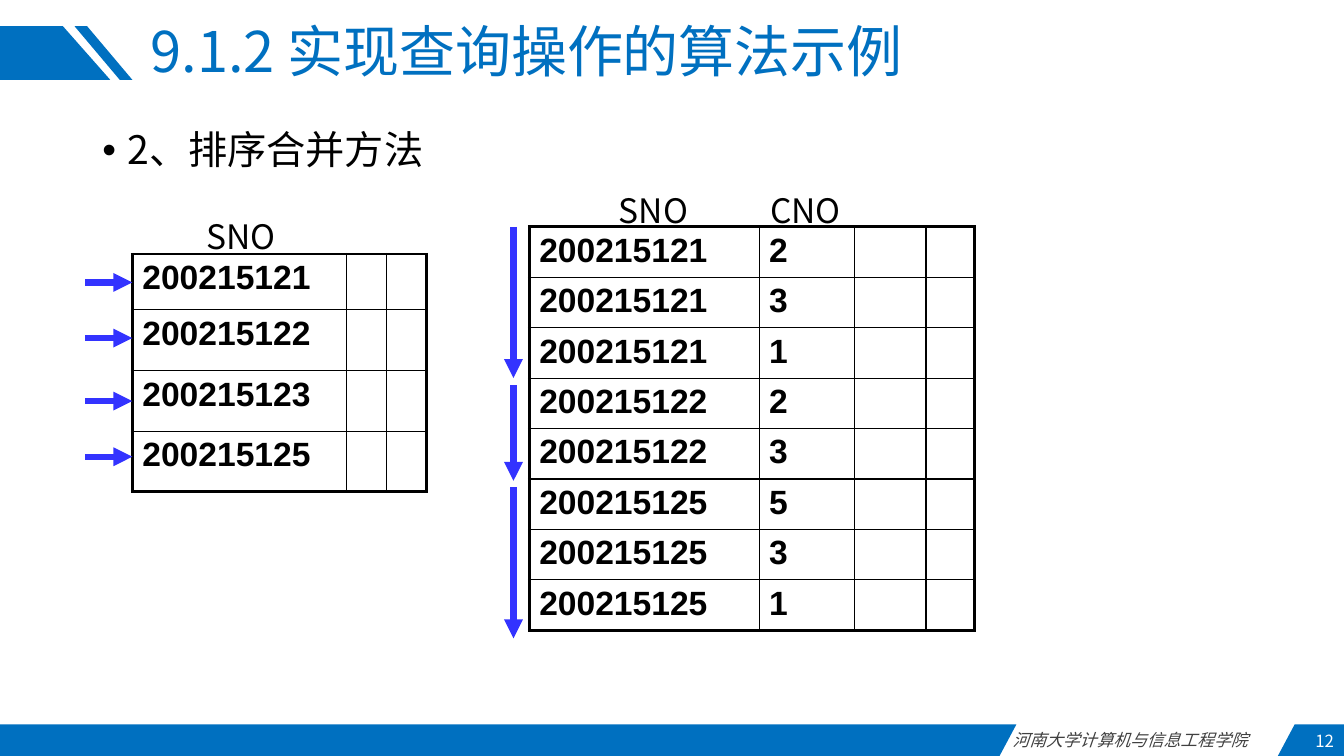
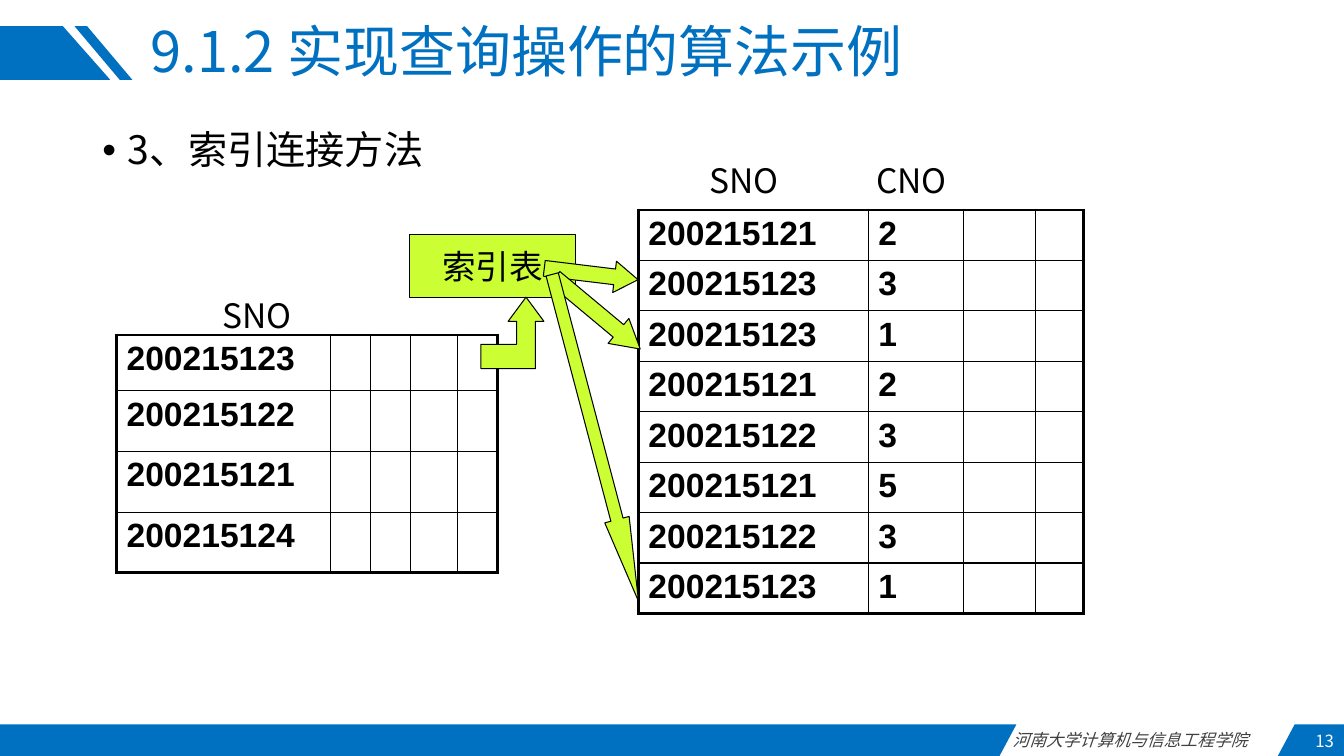
from lxml import etree
from pptx import Presentation
from pptx.dml.color import RGBColor
from pptx.enum.shapes import MSO_CONNECTOR, MSO_SHAPE
from pptx.enum.text import MSO_ANCHOR, MSO_AUTO_SIZE, PP_ALIGN
from pptx.oxml.ns import qn
from pptx.util import Pt

PX = 9525  # EMU per px, 96 px to the inch
BLUE = RGBColor(0x00, 0x70, 0xC0)
ARROW_BLUE = RGBColor(0x33, 0x33, 0xFF)
LIME = RGBColor(0xCC, 0xFF, 0x33)
BLACK = RGBColor(0x00, 0x00, 0x00)
GREY = RGBColor(0x40, 0x40, 0x40)
WHITE = RGBColor(0xFF, 0xFF, 0xFF)
CJK_FONT = "Noto Sans CJK SC"
TOP, MIDDLE = MSO_ANCHOR.TOP, MSO_ANCHOR.MIDDLE
LEFT, CENTER, RIGHT, JUSTIFY = PP_ALIGN.LEFT, PP_ALIGN.CENTER, PP_ALIGN.RIGHT, PP_ALIGN.JUSTIFY
FIT_SHAPE = MSO_AUTO_SIZE.SHAPE_TO_FIT_TEXT
STRAIGHT = MSO_CONNECTOR.STRAIGHT
RECTANGLE, RIGHT_ARROW = MSO_SHAPE.RECTANGLE, MSO_SHAPE.RIGHT_ARROW

TITLE = "9.1.2 实现查询操作的算法示例"
SCHOOL = "河南大学计算机与信息工程学院"
BLUE_BANDS = [
    [(0, 25), (60, 25), (105, 76), (0, 76)],
    [(83, 25), (126, 76), (114, 76), (71, 25)],
    [(0, 690), (968, 690), (952, 720), (0, 720)],
    [(1233, 690), (1280, 690), (1280, 720), (1217, 720)],
]
STUDENT_ROWS = [53, 58, 58, 57]
COURSE_COLS = [219, 91, 68, 46]
COURSE_ROWS = [45] * 8

# Each table: left, top, column widths, row heights, rows of text
SLIDES = [
    {
        "number": "12",
        "heading": "2、排序合并方法",
        "tables": [
            (126, 242, [204, 38, 38], STUDENT_ROWS,
             [["200215121"], ["200215122"], ["200215123"], ["200215125"]]),
            (504, 216, COURSE_COLS, COURSE_ROWS,
             [["200215121", "2"], ["200215121", "3"], ["200215121", "1"],
              ["200215122", "2"], ["200215122", "3"], ["200215125", "5"],
              ["200215125", "3"], ["200215125", "1"]]),
        ],
        "labels": [("SNO", 187, 201), ("SNO", 580, 176), ("CNO", 724, 176)],
    },
    {
        "number": "13",
        "heading": "3、索引连接方法",
        "tables": [
            (111, 319, [204, 38, 38, 45, 38], STUDENT_ROWS,
             [["200215123"], ["200215122"], ["200215121"], ["200215124"]]),
            (608, 200, COURSE_COLS, COURSE_ROWS,
             [["200215121", "2"], ["200215123", "3"], ["200215123", "1"],
              ["200215121", "2"], ["200215122", "3"], ["200215121", "5"],
              ["200215122", "3"], ["200215123", "1"]]),
        ],
        "labels": [("SNO", 202, 276), ("SNO", 666, 148), ("CNO", 825, 148)],
    },
]


def write(shape, text, size, color, font=CJK_FONT, align=LEFT, anchor=TOP, wrap=True):
    frame = shape.text_frame
    frame.word_wrap = wrap
    frame.vertical_anchor = anchor
    paragraph = frame.paragraphs[0]
    paragraph.text = text
    paragraph.alignment = align
    paragraph.font.size = Pt(size)
    paragraph.font.color.rgb = color
    paragraph.font.name = font
    defaults = paragraph._p.pPr.find(qn("a:defRPr"))
    etree.SubElement(defaults, qn("a:ea"), typeface=font)
    return paragraph


def polygon(slide, points, color):
    builder = slide.shapes.build_freeform(*points[0], scale=PX)
    builder.add_line_segments(points[1:], close=True)
    shape = builder.convert_to_shape()
    shape.shadow.inherit = False
    shape.fill.solid()
    shape.fill.fore_color.rgb = color
    shape.line.fill.background()
    return shape


prs = Presentation()
prs.slide_width, prs.slide_height = 1280 * PX, 720 * PX

for content in SLIDES:
    slide = prs.slides.add_slide(prs.slide_layouts[6])
    shapes = slide.shapes

    # Bands, footer, title and page number
    for points in BLUE_BANDS:
        polygon(slide, points, BLUE)
    school = shapes.add_textbox(955 * PX, 690 * PX, 262 * PX, 29 * PX)
    write(school, SCHOOL, 12, GREY, align=JUSTIFY).font.italic = True
    school.text_frame.auto_size = FIT_SHAPE
    title = shapes.add_textbox(134 * PX, 25 * PX, 1003 * PX, 54 * PX)
    write(title, TITLE, 40, BLUE, anchor=MIDDLE).line_spacing = 0.9
    number = shapes.add_textbox(1146 * PX, 691 * PX, 134 * PX, 29 * PX)
    write(number, content["number"], 12, WHITE, align=RIGHT, anchor=MIDDLE)

    # Bulleted heading
    body = shapes.add_textbox(88 * PX, 120 * PX, 1104 * PX, 549 * PX)
    properties = body.text_frame.paragraphs[0]._p.get_or_add_pPr()
    properties.set("marL", str(24 * PX))
    properties.set("indent", str(-24 * PX))
    etree.SubElement(properties, qn("a:buFont"), typeface="Arial")
    etree.SubElement(properties, qn("a:buChar"), char="•")
    write(body, content["heading"], 28, BLACK).line_spacing = 0.9

    # Tables with thick outer and thin inner borders
    for left, top, widths, heights, rows in content["tables"]:
        table = shapes.add_table(len(heights), len(widths), left * PX, top * PX,
                                 sum(widths) * PX, sum(heights) * PX).table
        table.first_row = table.horz_banding = False
        for column, width in zip(table.columns, widths):
            column.width = width * PX
        for row, height in zip(table.rows, heights):
            row.height = height * PX
        last_row, last_col = len(heights) - 1, len(widths) - 1
        for r in range(len(heights)):
            for c in range(len(widths)):
                cell = table.cell(r, c)
                outer = {"L": c == 0, "R": c == last_col, "T": r == 0, "B": r == last_row}
                for side, thick in outer.items():
                    border = etree.SubElement(cell._tc.get_or_add_tcPr(), qn("a:ln" + side),
                                              w=str(Pt(2.25 if thick else 1)))
                    fill = etree.SubElement(border, qn("a:solidFill"))
                    etree.SubElement(fill, qn("a:srgbClr"), val=str(BLACK))
                cell.fill.solid()
                cell.fill.fore_color.rgb = WHITE
                if c < len(rows[r]):
                    write(cell, rows[r][c], 24, BLACK, font="Arial").font.bold = True

    # Column labels above the tables
    for text, left, top in content["labels"]:
        label = shapes.add_textbox(left * PX, top * PX, 89 * PX, 48 * PX)
        write(label, text, 24, BLACK, wrap=False)
        label.text_frame.auto_size = FIT_SHAPE

# Sort-merge: scan arrows beside both tables
merge_slide, index_slide = prs.slides
scans = [(81, y, 126, y) for y in (269, 322, 382, 435)]
scans += [(489, start, 489, end) for start, end in ((216, 360), (367, 458), (464, 608))]
for x1, y1, x2, y2 in scans:
    scan = merge_slide.shapes.add_connector(STRAIGHT, x1 * PX, y1 * PX, x2 * PX, y2 * PX)
    scan.line.color.rgb = ARROW_BLUE
    scan.line.width = Pt(4.5)
    etree.SubElement(scan.line._get_or_add_ln(), qn("a:tailEnd"), type="triangle")
    etree.SubElement(scan._element.spPr, qn("a:effectLst"))

# Index join: index box, arrow into it and arrows to the matching rows
index_box = index_slide.shapes.add_shape(RECTANGLE, 390 * PX, 223 * PX, 158 * PX, 60 * PX)
write(index_box, "索引表", 24, BLACK, font="DejaVu Sans", align=CENTER, anchor=MIDDLE, wrap=False)
lookup = polygon(index_slide, [(501, 283), (484, 306), (492, 306), (492, 328), (458, 328),
                               (458, 351), (510, 351), (510, 306), (518, 306)], LIME)
index_parts = [index_box, lookup]
for left, top, width, height, angle, head in [(518, 246, 90, 30, 6.9, 0.75),
                                              (516, 283, 106, 31, 39.8, 0.87),
                                              (406, 405, 322, 24, 75.2, 3.35)]:
    match = index_slide.shapes.add_shape(RIGHT_ARROW, left * PX, top * PX, width * PX, height * PX)
    match.rotation = angle
    match.adjustments[1] = head
    index_parts.append(match)
for part in index_parts:
    part.shadow.inherit = False
    part.fill.solid()
    part.fill.fore_color.rgb = LIME
    part.line.color.rgb = BLACK
    part.line.width = Pt(0.75)

prs.save("out.pptx")
